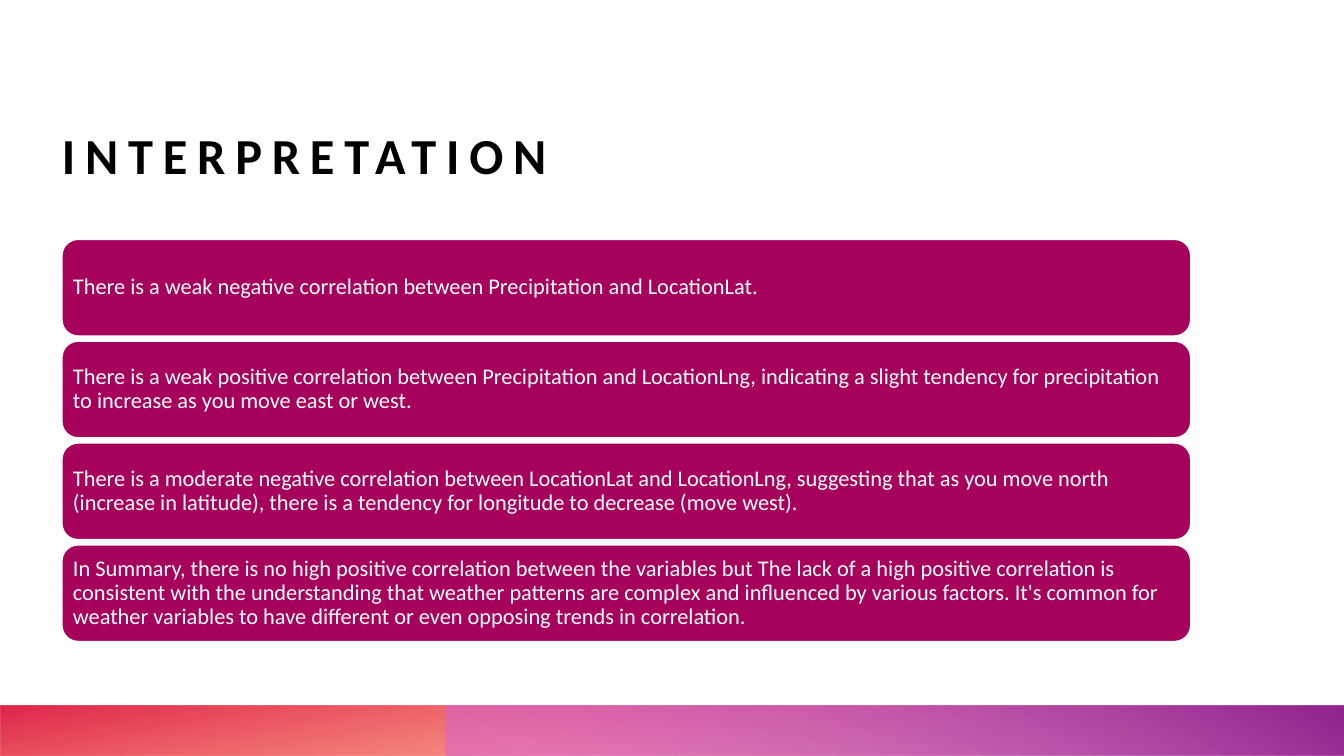
"""Builds the Interpretation slide: a title, four finding cards and a gradient footer."""
from dataclasses import dataclass

import pptx
import pptx.dml.color
import pptx.enum.shapes
import pptx.enum.text
import pptx.oxml.ns
import pptx.slide
import pptx.util

PX = 9525
FONT = "Calibri"
LEFT, CONTENT_WIDTH = 59, 1075
CARD_TOP, CARD_HEIGHT, CARD_PITCH, CARD_INSET = 228, 92, 97, 11
FINDINGS = (
    "There is a weak negative correlation between Precipitation and LocationLat.",
    "There is a weak positive correlation between Precipitation and LocationLng, "
    "indicating a slight tendency for precipitation to increase as you move east or west.",
    "There is a moderate negative correlation between LocationLat and LocationLng, "
    "suggesting that as you move north (increase in latitude), there is a tendency "
    "for longitude to decrease (move west).",
    "In Summary, there is no high positive correlation between the variables but "
    "The lack of a high positive correlation is consistent with the understanding that "
    "weather patterns are complex and influenced by various factors. It's common for "
    "weather variables to have different or even opposing trends in correlation.",
)


@dataclass(frozen=True)
class Stop:
    """A gradient stop; position and opacity are percentages."""
    position: int
    colour: str
    opacity: int


@dataclass(frozen=True)
class Band:
    """A mirrored footer band with a clockwise gradient angle."""
    left: int
    width: int
    rotation: int
    angle: int
    stops: tuple[Stop, Stop]


BANDS = (
    Band(0, 1280, 180, 100, (Stop(14, "FE4A00", 28), Stop(100, "DA002F", 85))),
    Band(424, 856, 0, 240, (Stop(9, "D861D4", 55), Stop(99, "92248E", 100))),
)


def px(length: int) -> int:
    """Turn px into EMU."""
    return pptx.util.Emu(length * PX)


def rgb(colour: str) -> pptx.dml.color.RGBColor:
    """Turn a hex string into a colour."""
    return pptx.dml.color.RGBColor.from_string(colour)


def draw_band(slide: pptx.slide.Slide, band: Band) -> None:
    """Draw one translucent gradient band along the foot."""
    box = slide.shapes.add_shape(
        pptx.enum.shapes.MSO_SHAPE.RECTANGLE,
        px(band.left), px(672), px(band.width), px(48))
    box.shadow.inherit = False
    box.line.fill.background()
    box.rotation = band.rotation
    qn = pptx.oxml.ns.qn
    box.element.spPr.find(qn("a:xfrm")).set("flipH", "1")
    box.fill.gradient()
    box.fill.gradient_angle = 360 - band.angle
    for gradient_stop, stop in zip(box.fill.gradient_stops, band.stops):
        gradient_stop.position = stop.position / 100
        gradient_stop.color.rgb = rgb(stop.colour)
    for colour, stop in zip(box.element.spPr.iter(qn("a:srgbClr")), band.stops):
        alpha = pptx.oxml.parse_xml(
            f'<a:alpha {pptx.oxml.ns.nsdecls("a")} val="{stop.opacity * 1000}"/>')
        colour.append(alpha)


def draw_title(slide: pptx.slide.Slide, text: str) -> None:
    """Place and format the letter-spaced title."""
    title = slide.shapes.title
    title.left, title.top = px(LEFT), px(47)
    title.width, title.height = px(CONTENT_WIDTH), px(130)
    frame = title.text_frame
    frame.text = text
    frame.word_wrap = True
    frame.auto_size = pptx.enum.text.MSO_AUTO_SIZE.NONE
    frame.vertical_anchor = pptx.enum.text.MSO_ANCHOR.BOTTOM
    frame.margin_left = frame.margin_right = frame.margin_top = frame.margin_bottom = 0
    para = frame.paragraphs[0]
    para.alignment = pptx.enum.text.PP_ALIGN.LEFT
    para.line_spacing = 0.9
    para.font.name, para.font.size, para.font.bold = FONT, pptx.util.Pt(36), True
    para.font.color.rgb = rgb("000000")
    for span in para.runs:
        span._r.get_or_add_rPr().set("spc", "700")


def draw_card(slide: pptx.slide.Slide, top: int, text: str) -> None:
    """Draw one rounded card holding a finding."""
    card = slide.shapes.add_shape(
        pptx.enum.shapes.MSO_SHAPE.ROUNDED_RECTANGLE,
        px(LEFT), px(top), px(CONTENT_WIDTH), px(CARD_HEIGHT))
    card.shadow.inherit = False
    card.fill.solid()
    card.fill.fore_color.rgb = rgb("A6025C")
    card.line.color.rgb = rgb("FFFFFF")
    card.line.width = pptx.util.Pt(1)
    frame = card.text_frame
    frame.text = text
    frame.word_wrap = True
    frame.vertical_anchor = pptx.enum.text.MSO_ANCHOR.MIDDLE
    # LibreOffice adds the rounded-corner inset of about 5 px itself.
    frame.margin_left = frame.margin_right = px(CARD_INSET - 5)
    frame.margin_top = frame.margin_bottom = px(CARD_INSET - 5)
    para = frame.paragraphs[0]
    para.alignment = pptx.enum.text.PP_ALIGN.LEFT
    para.line_spacing = 0.9
    para.font.name, para.font.size = FONT, pptx.util.Pt(16)
    para.font.color.rgb = rgb("FFFFFF")


def main() -> None:
    """Build and save the deck."""
    deck = pptx.Presentation()
    deck.slide_width, deck.slide_height = px(1280), px(720)
    slide = deck.slides.add_slide(deck.slide_layouts.get_by_name("Title Only"))
    for band in BANDS:
        draw_band(slide, band)
    draw_title(slide, "INTERPRETATION")
    for index, finding in enumerate(FINDINGS):
        draw_card(slide, CARD_TOP + index * CARD_PITCH, finding)
    deck.save("out.pptx")


if __name__ == "__main__":
    main()
